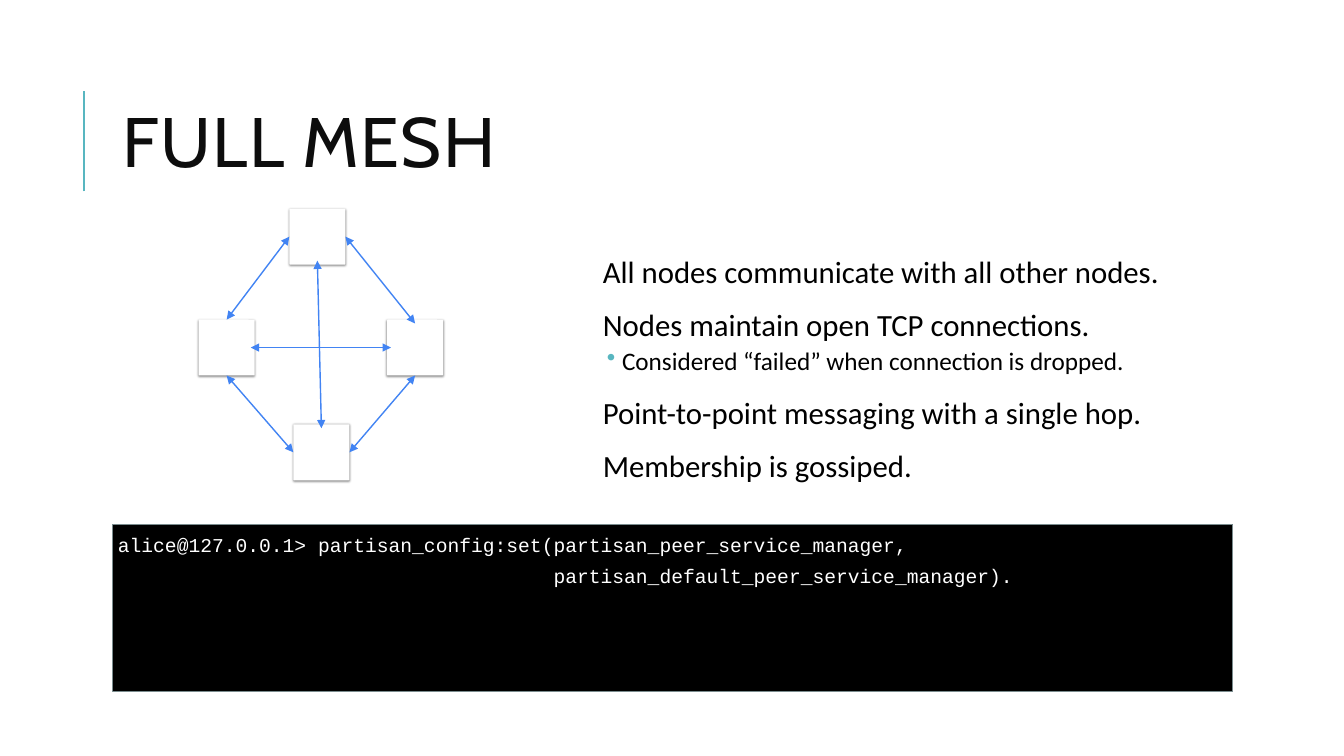
from lxml.etree import SubElement
from pptx import Presentation
from pptx.dml.color import RGBColor
from pptx.enum.shapes import MSO_CONNECTOR as CONN, MSO_SHAPE as SHAPE
from pptx.enum.text import MSO_ANCHOR as ANCHOR, MSO_AUTO_SIZE as AUTO, PP_ALIGN as ALIGN
from pptx.oxml.ns import qn
from pptx.util import Inches, Pt

TEAL, BLUE, BLACK, WHITE = "58B6C0", "4284F3", "000000", "FFFFFF"
TITLE = "FULL MESH"
POINTS = [
    (0, "All nodes communicate with all other nodes."),
    (0, "Nodes maintain open TCP connections."),
    (1, "Considered “failed” when connection is dropped."),
    (0, "Point-to-point messaging with a single hop."),
    (0, "Membership is gossiped."),
]
LEVELS = [
    {"size": 22, "before": 12, "after": 2, "left": 0.1, "hang": 0},
    {"size": 18, "before": 2, "after": 4, "left": 0.29, "hang": 0.15},
]
CODE = [
    "alice@127.0.0.1> partisan_config:set(partisan_peer_service_manager,",
    "                                     partisan_default_peer_service_manager).",
]

# Places are percentages of the slide's width and height.
TITLE_BOX = (8.4, 8.53, 79.73, 21.87)
RULE = (6.25, 25.33, 6.25, 12)
POINTS_BOX = (43.73, 33.33, 44.4, 58.67)
CODE_BOX = (8.4, 69.33, 83.33, 22.13)
NODE_SIZE = (4.17, 7.4)
NODES = {
    "left": (14.78, 42.27),
    "top": (21.53, 27.6),
    "bottom": (21.83, 56.13),
    "right": (28.8, 42.27),
}
N, S, W, E = (0.5, 0), (0.5, 1), (0, 0.5), (1, 0.5)
N_IN, S_IN, W_IN, E_IN = (0.5, 0.07), (0.5, 0.93), (0.07, 0.5), (0.93, 0.5)
LINKS = [
    ("top", E, "right", N_IN),
    ("top", S_IN, "bottom", N_IN),
    ("top", W, "left", N),
    ("right", W_IN, "left", E_IN),
    ("left", S, "bottom", W),
    ("right", S, "bottom", E),
]

prs = Presentation()
prs.slide_width, prs.slide_height = Inches(13.33), Inches(7.5)
slide = prs.slides.add_slide(prs.slide_layouts[5])


def rgb(value):
    """Turn a hex string into a colour."""
    return RGBColor.from_string(value)


def place(*shares):
    """Turn alternating x and y percentages into lengths."""
    sides = (prs.slide_width, prs.slide_height)
    return [int(sides[i % 2] * v / 100) for i, v in enumerate(shares)]


def style(p, font, size, colour, spacing):
    """Format a paragraph and its runs."""
    p.alignment = ALIGN.LEFT
    p.line_spacing = spacing
    for r in p.runs:
        r.font.name, r.font.size = font, Pt(size)
        r.font.color.rgb = rgb(colour)


def frame(s):
    """Prepare a top-anchored wrapping text frame."""
    tf = s.text_frame
    tf.word_wrap, tf.auto_size, tf.vertical_anchor = True, AUTO.NONE, ANCHOR.TOP
    tf.margin_left = tf.margin_right = tf.margin_top = tf.margin_bottom = Inches(0.05)
    return tf


def add_box(kind, box, fill):
    """Add a filled shape without outline or shadow."""
    s = slide.shapes.add_shape(kind, *place(*box))
    s.shadow.inherit = False
    s.fill.solid()
    s.fill.fore_color.rgb = rgb(fill)
    s.line.fill.background()
    return s


def add_line(ends, colour, width, arrows=False):
    """Add a straight line, optionally with arrowheads at both ends."""
    s = slide.shapes.add_connector(CONN.STRAIGHT, *place(*ends))
    s.line.color.rgb, s.line.width = rgb(colour), Pt(width)
    if arrows:
        for tag in ("a:headEnd", "a:tailEnd"):
            SubElement(s.line._get_or_add_ln(), qn(tag), type="triangle")
    SubElement(s._element.spPr, qn("a:effectLst"))


def add_node(corner):
    """Add one white node with a soft shadow."""
    s = add_box(SHAPE.ROUNDED_RECTANGLE, corner + NODE_SIZE, WHITE)
    s.adjustments[0] = 0.017
    effects = s._element.spPr.find(qn("a:effectLst"))
    shadow = SubElement(effects, qn("a:outerShdw"), blurRad=str(Pt(1.5)),
                        dist=str(Pt(0.5)), dir="5400000", rotWithShape="0")
    tint = SubElement(shadow, qn("a:srgbClr"), val=BLACK)
    SubElement(tint, qn("a:alpha"), val="45000")


def port(node, side):
    """Find a point on a node from shares of its size."""
    return tuple(c + k * n for c, k, n in zip(NODES[node], side, NODE_SIZE))


def add_title():
    """Fill and format the title placeholder."""
    s = slide.shapes.title
    s.left, s.top, s.width, s.height = place(*TITLE_BOX)
    tf = s.text_frame
    tf.text = TITLE
    tf.word_wrap, tf.auto_size, tf.vertical_anchor = True, AUTO.NONE, ANCHOR.MIDDLE
    p = tf.paragraphs[0]
    style(p, "Cabin", 50, "0D0D0D", 0.8)
    p.runs[0].font._element.set("spc", "100")


def add_points():
    """Write the points at their two levels."""
    tf = frame(slide.shapes.add_textbox(*place(*POINTS_BOX)))
    for i, (level, text) in enumerate(POINTS):
        p = tf.paragraphs[0] if i == 0 else tf.add_paragraph()
        look = LEVELS[level]
        p.text = text
        pPr = p._p.get_or_add_pPr()
        pPr.set("marL", str(Inches(look["left"])))
        pPr.set("indent", str(-Inches(look["hang"])))
        if level:
            SubElement(SubElement(pPr, qn("a:buClr")), qn("a:srgbClr"), val=TEAL)
            SubElement(pPr, qn("a:buChar"), char="•")
        style(p, "Calibri", look["size"], BLACK, 0.9)
        p.space_before = Pt(look["before"] if i else 0)
        p.space_after = Pt(look["after"])


def add_code():
    """Draw the console panel with its command."""
    s = add_box(SHAPE.RECTANGLE, CODE_BOX, BLACK)
    s.line.color.rgb, s.line.width = rgb("7A8C8E"), Pt(0.75)
    tf = frame(s)
    tf.text = "\n".join(CODE)
    for p in tf.paragraphs:
        style(p, "Courier New", 14, WHITE, 1.18)
        p.space_after = Pt(2)


add_line(RULE, TEAL, 1.5)
add_title()
add_points()
for corner in NODES.values():
    add_node(corner)
for start, out, end, into in LINKS:
    add_line(port(start, out) + port(end, into), BLUE, 1, arrows=True)
add_code()
prs.save("out.pptx")
